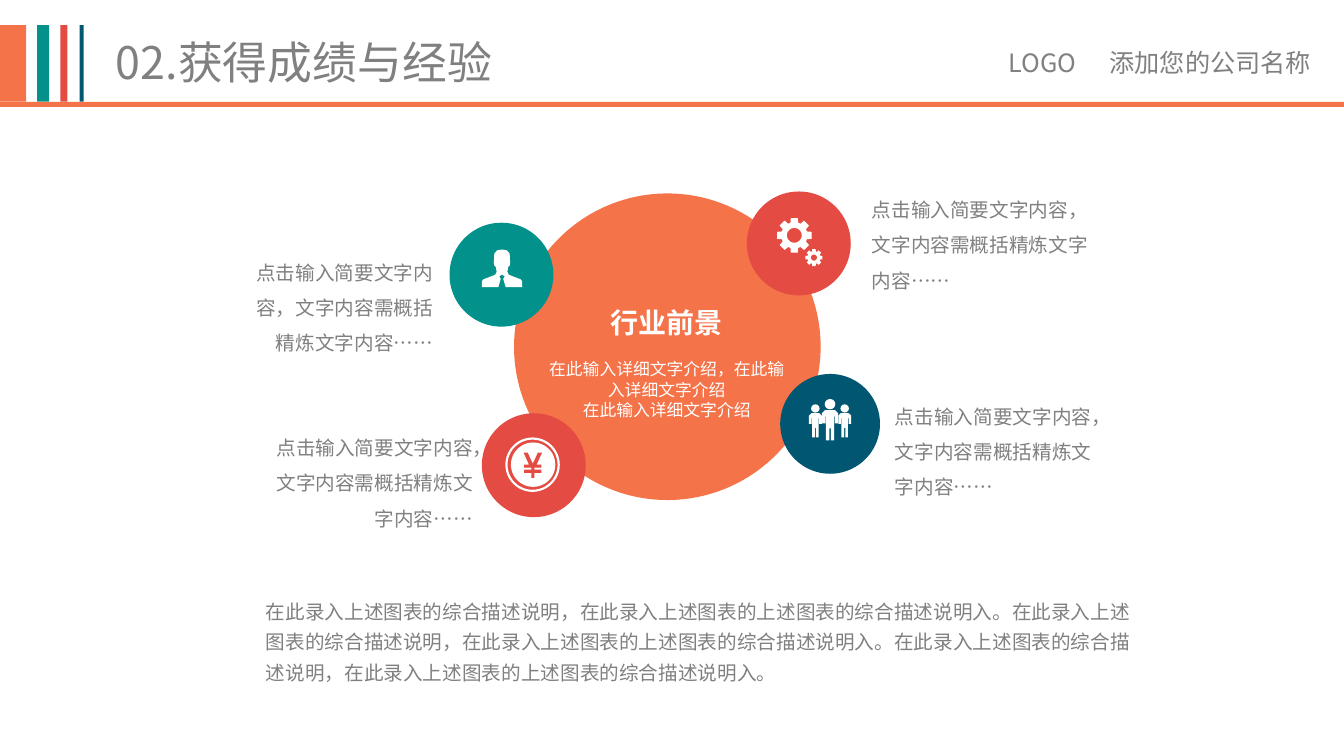
from dataclasses import dataclass
from math import cos, pi, sin

from lxml.etree import SubElement
from pptx import Presentation
from pptx.dml.color import RGBColor
from pptx.enum.shapes import MSO_SHAPE as Shape
from pptx.enum.text import MSO_ANCHOR as Anchor, MSO_AUTO_SIZE as AutoSize, PP_ALIGN as Align
from pptx.oxml.ns import qn
from pptx.util import Pt


@dataclass(frozen=True)
class Theme:
    font: str = "Noto Sans CJK SC"
    orange: str = "F47349"
    teal: str = "02918B"
    red: str = "E44B42"
    navy: str = "015672"
    white: str = "FFFFFF"
    gray: str = "808080"
    title: int = 32
    heading: int = 20
    company: int = 18
    body: int = 14
    detail: int = 12


theme = Theme()


def paint(shape, color):
    shape.shadow.inherit = False
    shape.fill.solid()
    shape.fill.fore_color.rgb = RGBColor.from_string(color)
    shape.line.fill.background()


def write(shape, box, lines, color=theme.gray, align=Align.LEFT, spacing=1.0):
    shape.left, shape.top, shape.width, shape.height = map(Pt, box)
    frame = shape.text_frame
    frame.word_wrap = True
    frame.auto_size = AutoSize.NONE
    frame.vertical_anchor = Anchor.TOP
    frame.text = "\n".join(text for text, size in lines)
    for paragraph, (text, size) in zip(frame.paragraphs, lines):
        paragraph.alignment = align
        paragraph.line_spacing = spacing
        paragraph.font.size = Pt(size)
        paragraph.font.name = theme.font
        paragraph.font.bold = size == theme.heading
        paragraph.font.color.rgb = RGBColor.from_string(color)
        defaults = paragraph._p.pPr.find(qn("a:defRPr"))
        east_asian = SubElement(defaults, qn("a:ea"))
        east_asian.set("typeface", theme.font)
    return frame


presentation = Presentation()
presentation.slide_width, presentation.slide_height = Pt(960), Pt(540)
slide = presentation.slides.add_slide(presentation.slide_layouts[5])
shapes = slide.shapes

write(shapes.title, (75.6, 20.9, 368.6, 46), [("02.获得成绩与经验", theme.title)])

bars = [
    (0, 18, 18.7, 54.7, theme.orange),
    (26.6, 18, 8.6, 54.7, theme.teal),
    (43.2, 18, 5, 54.7, theme.red),
    (56.9, 18, 2.9, 54.7, theme.navy),
    (0, 72.7, 960, 3.6, theme.orange),
]
for *box, color in bars:
    paint(shapes.add_shape(Shape.RECTANGLE, *map(Pt, box)), color)

company = write(shapes.add_textbox(0, 0, 0, 0), (713.5, 30.2, 246.5, 29),
                [("LOGO\t添加您的公司名称", theme.company)])
properties = company.paragraphs[0]._p.pPr
tab_list = properties.makeelement(qn("a:tabLst"))
SubElement(tab_list, qn("a:tab"), pos=str(Pt(72)), algn="l")
properties.find(qn("a:defRPr")).addprevious(tab_list)

people_x, people_y = 592.9, 293
people = [(people_x - 10.5, 295.2, 0.8), (people_x, people_y, 1), (people_x + 10.5, 295.2, 0.8)]
circles = [
    (367.2, 138.2, 219, 219, theme.orange),
    (321.1, 159.1, 74.2, 74.2, theme.teal),
    (533.5, 136.8, 74.2, 74.2, theme.red),
    (344.2, 295.2, 74.2, 74.2, theme.red),
    (557.3, 267.1, 71.3, 71.3, theme.navy),
    (365, 316.1, 31.7, 31.7, theme.white),
]
circles += [(x - 3.8 * scale, y - 8 * scale, 7.6 * scale, 7.4 * scale, theme.white)
            for x, y, scale in people]
for *box, color in circles:
    paint(shapes.add_shape(Shape.OVAL, *map(Pt, box)), color)

coin_ring = shapes.add_shape(Shape.DONUT, Pt(361), Pt(312.5), Pt(38.9), Pt(38.9))
coin_ring.adjustments[0] = 0.04
paint(coin_ring, theme.white)

businessman = [(0, 0), (3.5, 0.6), (5.5, 3), (5.6, 7), (5.9, 9), (5.5, 11.5), (4.5, 12.3),
               (3.8, 16), (4.8, 18), (8, 19.3), (13.5, 21.4), (14.4, 23), (14.4, 26.8),
               (2.6, 26.8), (0.9, 21), (2, 19.2), (0, 17.9)]
yuan = [(0, 7.9), (0.7, 6.5), (3.6, 0), (6.6, 0), (2.7, 8.6), (6.1, 8.6), (6.1, 10.8),
        (1.1, 10.8), (1.1, 12.2), (6.1, 12.2), (6.1, 14.4), (1.1, 14.4), (1.1, 18), (0, 18)]
body = [(0, 0), (3.6, 0), (5.8, 2.2), (5.8, 9.4), (3.4, 9.4), (3.4, 4.4), (2.9, 4.4),
        (2.9, 21.6), (0.5, 21.6), (0.5, 13), (0, 13)]

symmetric_icons = [(358.6, 178.2, 1, businessman, theme.white), (380.6, 323.3, 1, yuan, theme.red)]
symmetric_icons += [(x, y, scale, body, theme.white) for x, y, scale in people]
outlines = []
for x, y, scale, half, color in symmetric_icons:
    profile = half + [(-dx, dy) for dx, dy in reversed(half)]
    outlines.append((color, [[(x + dx * scale, y + dy * scale) for dx, dy in profile]]))

for x, y, tip, root, hole in [(567.4, 168.1, 12.6, 9.4, 5.3), (581.4, 184, 6.2, 4.6, 2.2)]:
    tooth = [(-0.3, root), (-0.2, tip), (0.2, tip), (0.3, root)]
    rim = [(k * pi / 4 + turn, radius) for k in range(8) for turn, radius in tooth]
    bore = [(-k * pi / 16, hole) for k in range(32)]
    outlines.append((theme.white, [[(x + r * cos(a), y + r * sin(a)) for a, r in contour]
                                   for contour in (rim, bore)]))

for color, contours in outlines:
    contours = [[(Pt(x), Pt(y)) for x, y in contour] for contour in contours]
    builder = shapes.build_freeform(*contours[0][0])
    builder.add_line_segments(contours[0][1:], close=True)
    for contour in contours[1:]:
        builder.move_to(*contour[0])
        builder.add_line_segments(contour[1:], close=True)
    paint(builder.convert_to_shape(), color)

center = write(shapes.add_textbox(0, 0, 0, 0), (382.3, 214.6, 187.9, 104.4), [
    ("行业前景", theme.heading),
    ("在此输入详细文字介绍，在此输入详细文字介绍", theme.detail),
    ("在此输入详细文字介绍", theme.detail),
], theme.white, Align.CENTER)
center.paragraphs[1].space_before = Pt(14.4)

captions = [
    (162, 174.2, 154.5, Align.RIGHT),
    (185, 299.5, 160, Align.RIGHT),
    (615.6, 129.6, 176.4, Align.LEFT),
    (632.2, 277.2, 160, Align.LEFT),
]
for left, top, width, align in captions:
    write(shapes.add_textbox(0, 0, 0, 0), (left, top, width, 83.5),
          [("点击输入简要文字内容，文字内容需概括精炼文字内容……", theme.body)],
          align=align, spacing=1.5)

sentence = "在此录入上述图表的综合描述说明，在此录入上述图表的上述图表的综合描述说明入。"
summary = write(shapes.add_textbox(0, 0, 0, 0), (185, 420.5, 629.3, 116),
                [(sentence * 3, theme.body)], spacing=1.3)
summary.margin_left = summary.margin_right = Pt(5)
summary.margin_top = summary.margin_bottom = Pt(2.9)

presentation.save("out.pptx")
